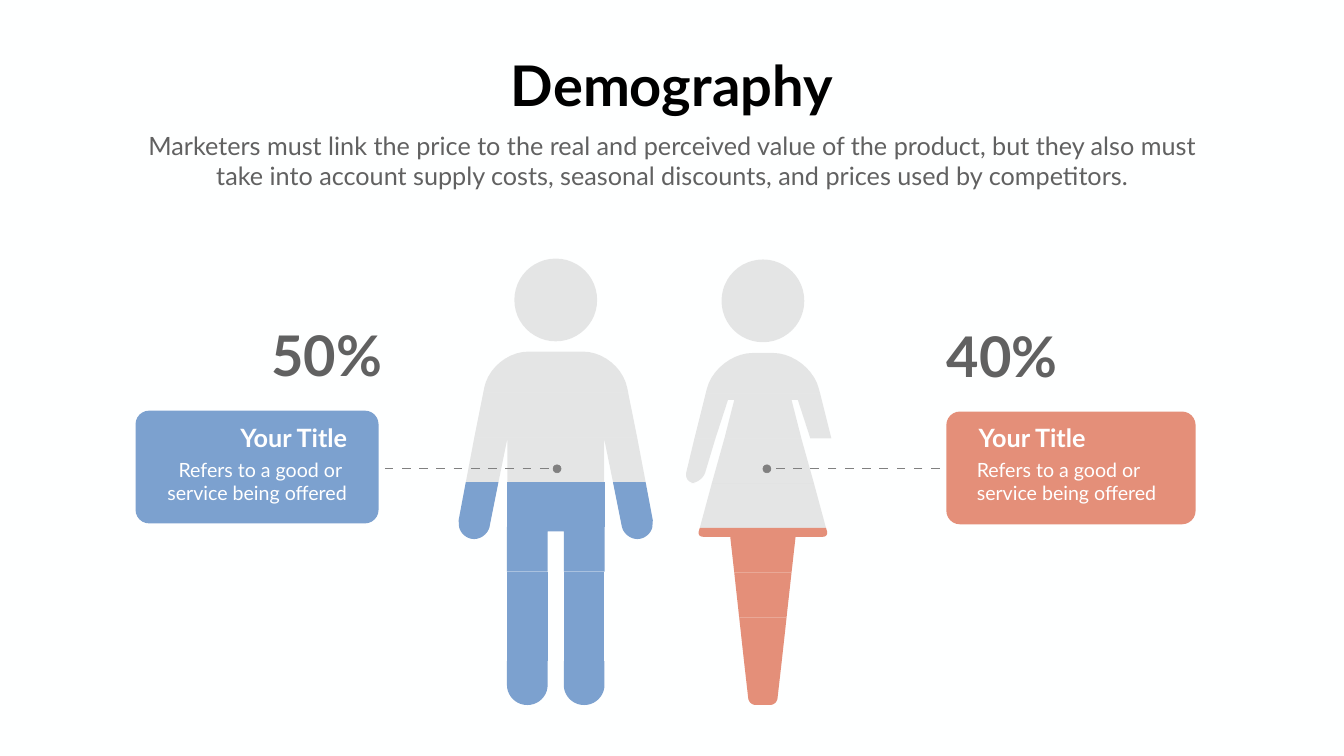
import pptx
import pptx.dml.color
import pptx.enum.shapes
import pptx.enum.text
import pptx.oxml
import pptx.oxml.ns
import pptx.util

RGB = pptx.dml.color.RGBColor
SHAPE = pptx.enum.shapes.MSO_SHAPE
ALIGN = pptx.enum.text.PP_ALIGN

BACKGROUND = RGB(0xFE, 0xFF, 0xFF)
BLACK = RGB(0, 0, 0)
WHITE = RGB(0xFF, 0xFF, 0xFF)
TEXT_GRAY = RGB(0x61, 0x61, 0x61)
GRAY = RGB(0x80, 0x80, 0x80)
BLUE = RGB(0x7C, 0xA1, 0xCF)
CORAL = RGB(0xE4, 0x8F, 0x79)

WIDTH, HEIGHT = pptx.util.Inches(26.66), pptx.util.Inches(15)
CELL = HEIGHT / 16.9  # side of a square grid cell, also one band of a figure
CURVE_STEPS = 10
HEAD_SIZE = 1.85

# Each band: fill (None is pale gray), then the left half from top to bottom.
# A point is (columns from the axis, rows from the top[, corner radius]).
MAN_BODY = [
    (None, [(-1.44, 2.08, 0.83), (-1.62, 3)]),
    (None, [(-1.62, 3), (-1.82, 4)]),
    (None, [(-1.82, 4), (-2.01, 5), (-1.28, 5), (-1.08, 4.02), (-1.08, 5)]),
    (BLUE, [(-1.09, 5), (-1.09, 6)]),
    (BLUE, [(-1.09, 6), (-1.09, 7), (-0.18, 7), (-0.18, 6.1)]),
]
MAN_LIMBS = [
    [(-2.01, 5), (-2.17, 5.85), (-2.16, 6), (-1.48, 6), (-1.28, 5)],
    [(-2.16, 6), (-2.1, 6.27, 0.27), (-1.55, 6.27, 0.27), (-1.48, 6)],
    [(-1.09, 7), (-1.09, 8), (-0.18, 8), (-0.18, 7)],
    [(-1.09, 8), (-1.09, 9), (-0.18, 9), (-0.18, 8)],
    [(-1.09, 9), (-1.09, 9.98, 0.45), (-0.18, 9.98, 0.45), (-0.18, 9)],
]
WOMAN_BODY = [
    (None, [(-1.05, 2.09, 0.83), (-1.28, 3)]),
    (None, [(-1.28, 3), (-1.53, 4), (-1.06, 4), (-0.78, 3.14),
            (-0.64, 3.14), (-0.86, 4)]),
    (None, [(-0.86, 4), (-1.14, 5)]),
    (None, [(-1.14, 5), (-1.41, 6)]),
    (CORAL, [(-1.41, 6), (-1.47, 6.2, 0.13), (-0.73, 6.2), (-0.64, 7)]),
    (CORAL, [(-0.64, 7), (-0.53, 8)]),
    (CORAL, [(-0.53, 8), (-0.42, 9)]),
    (CORAL, [(-0.42, 9), (-0.31, 9.96, 0.15)]),
]
WOMAN_ARM = [(-1.06, 4), (-1.53, 4), (-1.77, 5, 0.25), (-1.36, 5, 0.25)]


def cells(*values):
    return [round(value * CELL) for value in values]


def paint(shape, color):
    """Fill a shape without outline; None gives a translucent gray."""
    shape.shadow.inherit = False
    shape.line.fill.background()
    shape.fill.solid()
    shape.fill.fore_color.rgb = color or GRAY
    if color is None:
        tag = pptx.oxml.ns.qn("a:srgbClr")
        alpha = next(shape.fill._xPr.iter(tag)).makeelement(
            pptx.oxml.ns.qn("a:alpha"), {"val": "20000"})
        next(shape.fill._xPr.iter(tag)).append(alpha)


def mirror(points):
    return [(-x, *rest) for x, *rest in reversed(points)]


def toward(corner, neighbor, length):
    dx, dy = neighbor[0] - corner[0], neighbor[1] - corner[1]
    share = length / (dx * dx + dy * dy) ** 0.5
    return corner[0] + dx * share, corner[1] + dy * share


def round_corners(points):
    """Replace each point that has a radius by points along a curve."""
    outline = []
    for index, point in enumerate(points):
        if len(point) == 2:
            outline.append(point)
            continue
        before, after = points[index - 1], points[(index + 1) % len(points)]
        radius = point[2]
        controls = [toward(point, before, radius),
                    toward(point, before, radius * 0.45),
                    toward(point, after, radius * 0.45),
                    toward(point, after, radius)]
        for step in range(CURVE_STEPS + 1):
            t = step / CURVE_STEPS
            weights = ((1 - t) ** 3, 3 * t * (1 - t) ** 2,
                       3 * t * t * (1 - t), t ** 3)
            outline.append(tuple(
                sum(w * c[axis] for w, c in zip(weights, controls))
                for axis in (0, 1)))
    return outline


def add_outline(slide, origin, points, color):
    corners = [cells(origin[0] + x, origin[1] + y)
               for x, y in round_corners(points)]
    builder = slide.shapes.build_freeform(*corners[0], scale=1.0)
    builder.add_line_segments(corners[1:], close=True)
    paint(builder.convert_to_shape(), color)


def add_preset(slide, kind, box, color):
    shape = slide.shapes.add_shape(kind, *cells(*box))
    paint(shape, color)
    return shape


def add_figure(slide, origin, body):
    """Draw a head and symmetric body bands; origin is axis and top."""
    head = (origin[0] - HEAD_SIZE / 2, origin[1], HEAD_SIZE, HEAD_SIZE)
    add_preset(slide, SHAPE.OVAL, head, None)
    for color, half in body:
        add_outline(slide, origin, half + mirror(half), color)


def add_text(slide, box, lines, size, color, align, bold=False, wrap=True):
    frame = slide.shapes.add_textbox(*cells(*box)).text_frame
    frame.word_wrap = wrap
    for index, line in enumerate(lines):
        paragraph = frame.add_paragraph() if index else frame.paragraphs[0]
        paragraph.alignment = align
        run = paragraph.add_run()
        run.text = line
        run.font.name = "Lato"
        run.font.size = pptx.util.Pt(size)
        run.font.bold = bold
        run.font.color.rgb = color


def add_leader(slide, start, end, dot_left):
    """Draw a dashed line that ends in a dot."""
    row = 10.48
    line = slide.shapes.add_connector(
        pptx.enum.shapes.MSO_CONNECTOR.STRAIGHT, *cells(start, row, end, row))
    line.line.color.rgb = GRAY
    line.line.width = pptx.util.Pt(1)
    properties = line._element.spPr
    namespace = pptx.oxml.ns.nsdecls("a")
    line.line._ln.append(pptx.oxml.parse_xml(
        f'<a:custDash {namespace}><a:ds d="1250000" sp="1230000"/></a:custDash>'))
    properties.append(pptx.oxml.parse_xml(f"<a:effectLst {namespace}/>"))
    dot = add_preset(slide, SHAPE.OVAL, (dot_left, row - 0.09, 0.18, 0.18), GRAY)
    dot.line.color.rgb = GRAY
    dot.line.width = pptx.util.Pt(0.75)


def add_card(slide, card, color, title_left, body_left, body, align):
    shape = add_preset(slide, SHAPE.ROUNDED_RECTANGLE, card, color)
    shape.adjustments[0] = 0.12
    add_text(slide, (title_left, 9.38, 2.94, 0.8), ["Your Title"], 36, WHITE,
             align, bold=True)
    add_text(slide, (body_left, 10.17, 4.47, 1.17), body, 28, WHITE, align)


def main():
    presentation = pptx.Presentation()
    presentation.slide_width, presentation.slide_height = WIDTH, HEIGHT
    slide = presentation.slides.add_slide(presentation.slide_layouts[6])
    slide.background.fill.solid()
    slide.background.fill.fore_color.rgb = BACKGROUND

    man, woman = (12.42, 5.78), (17.05, 5.8)
    add_figure(slide, man, MAN_BODY)
    for limb in MAN_LIMBS:
        add_outline(slide, man, limb, BLUE)
        add_outline(slide, man, mirror(limb), BLUE)
    add_figure(slide, woman, WOMAN_BODY)
    add_outline(slide, woman, WOMAN_ARM, None)

    add_leader(slide, 21, 17.23, 17.05)
    add_leader(slide, 8.6, 12.46, 12.36)
    add_card(slide, (3.03, 9.18, 5.43, 2.52), BLUE, 4.93, 3.39,
             ["Refers to a good or ", "service being offered"], ALIGN.RIGHT)
    add_card(slide, (21.15, 9.2, 5.57, 2.52), CORAL, 21.76, 21.72,
             ["Refers to a good or", "service being offered"], ALIGN.LEFT)

    add_text(slide, (11.23, 1.07, 7.57, 1.63), ["Demography"], 80, BLACK,
             ALIGN.CENTER, bold=True, wrap=False)
    add_text(slide, (3.02, 2.86, 24, 1.48),
             ["Marketers must link the price to the real and perceived value "
              "of the product, but they also must take into account supply "
              "costs, seasonal discounts, and prices used by competitors."],
             36, TEXT_GRAY, ALIGN.CENTER)
    add_text(slide, (21.03, 7.14, 2.74, 1.63), ["40%"], 80, TEXT_GRAY,
             ALIGN.CENTER, bold=True, wrap=False)
    add_text(slide, (5.91, 7.12, 2.74, 1.63), ["50%"], 80, TEXT_GRAY,
             ALIGN.RIGHT, bold=True, wrap=False)
    presentation.save("out.pptx")


if __name__ == "__main__":
    main()
